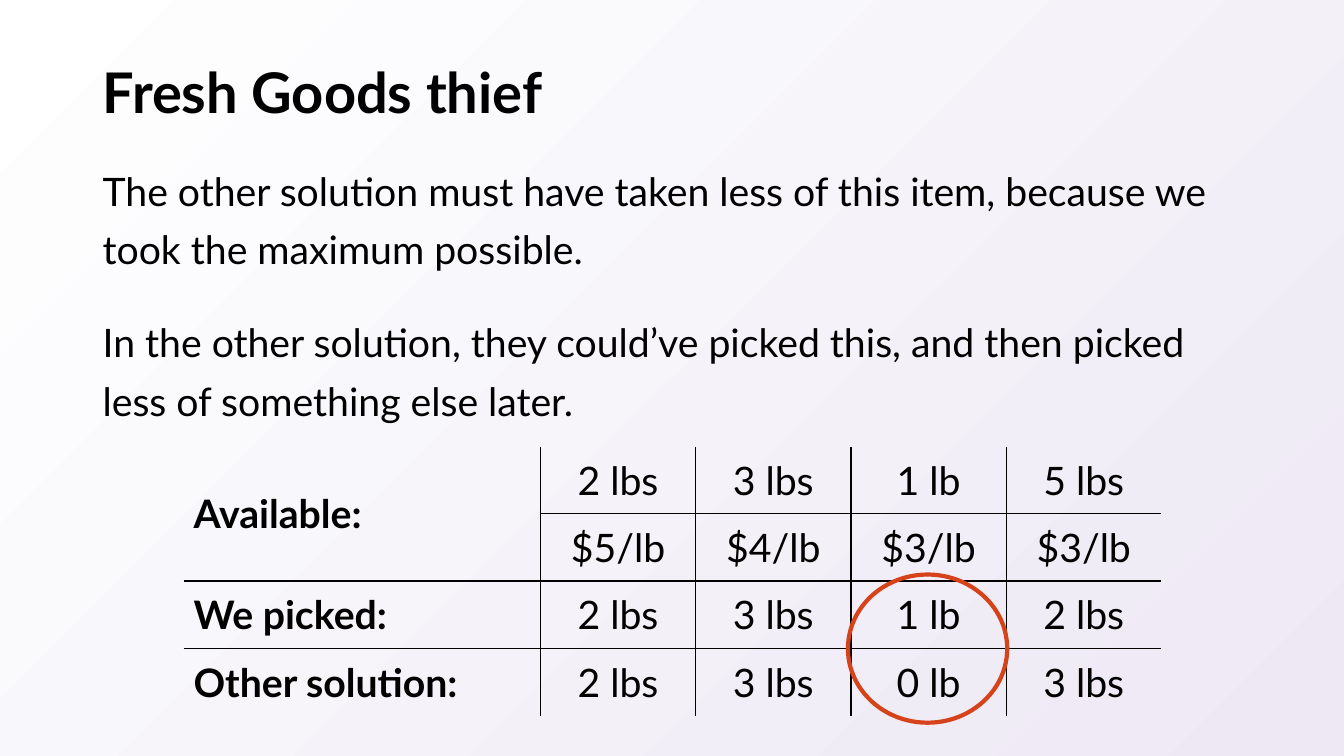
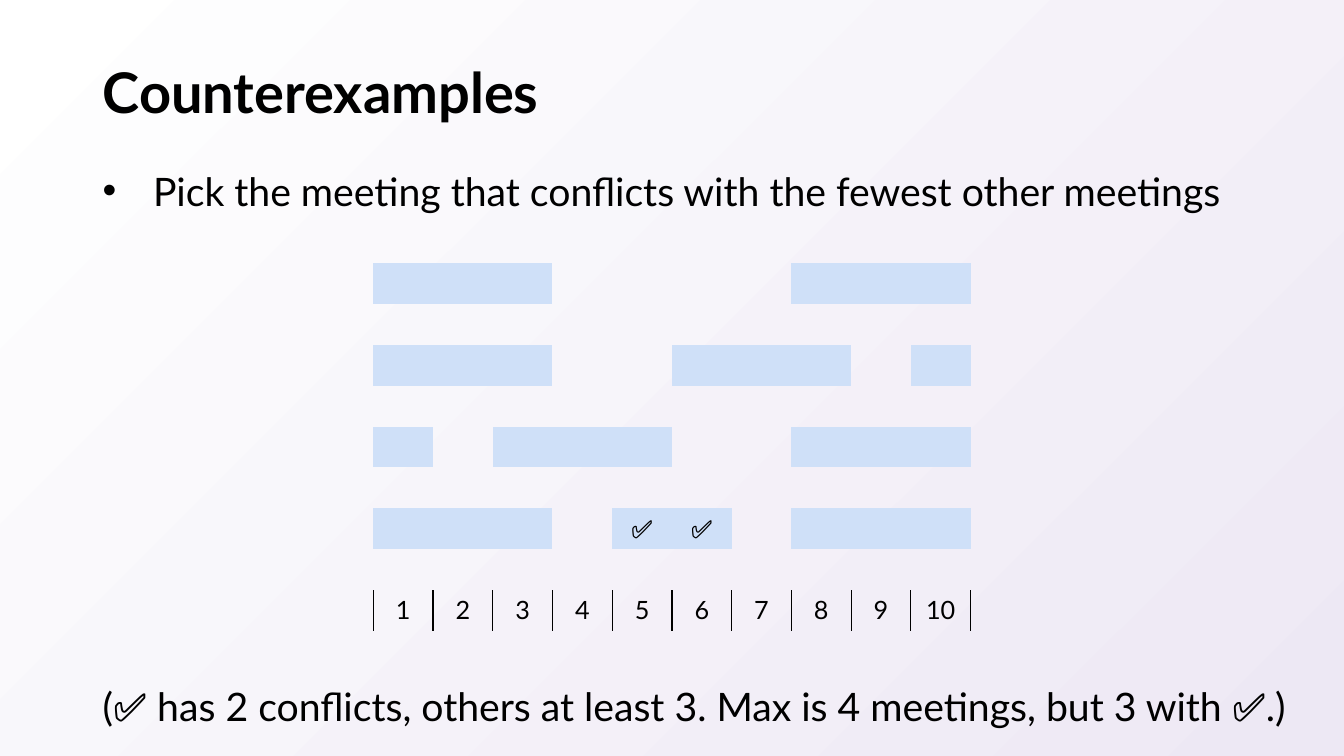
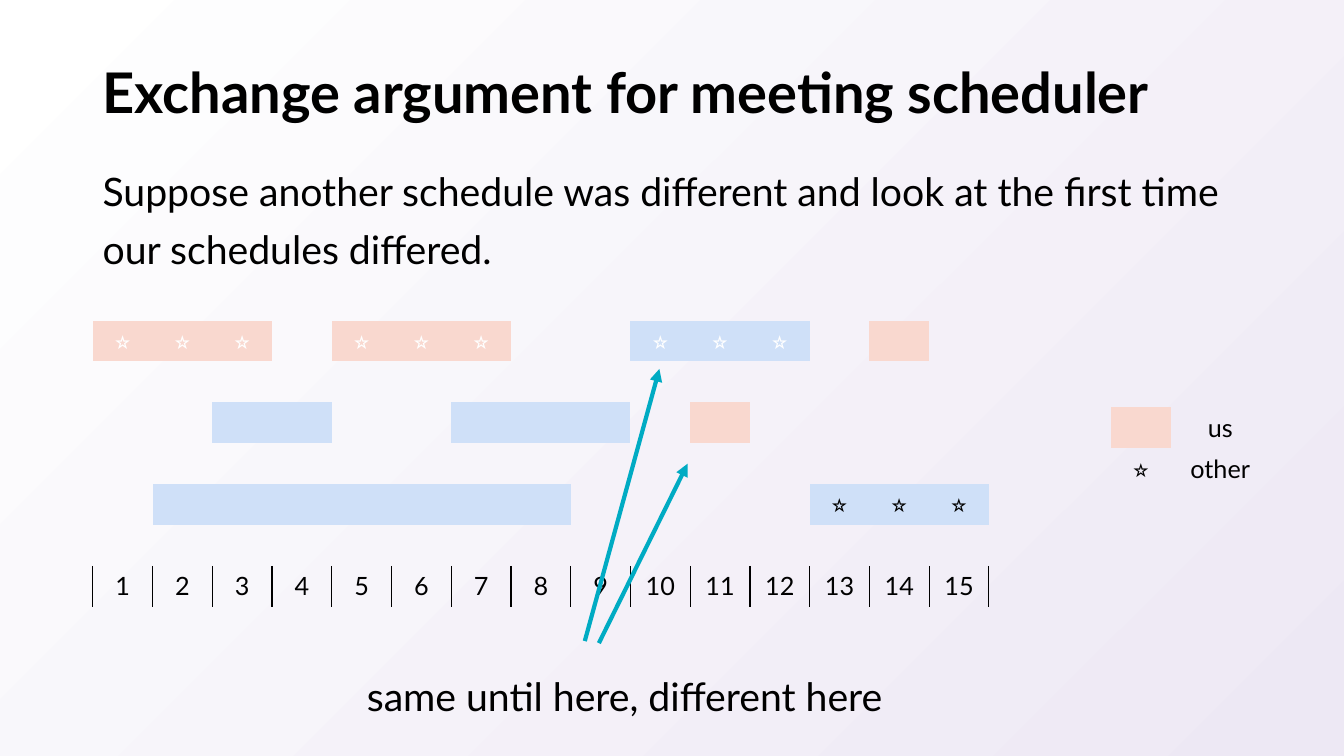
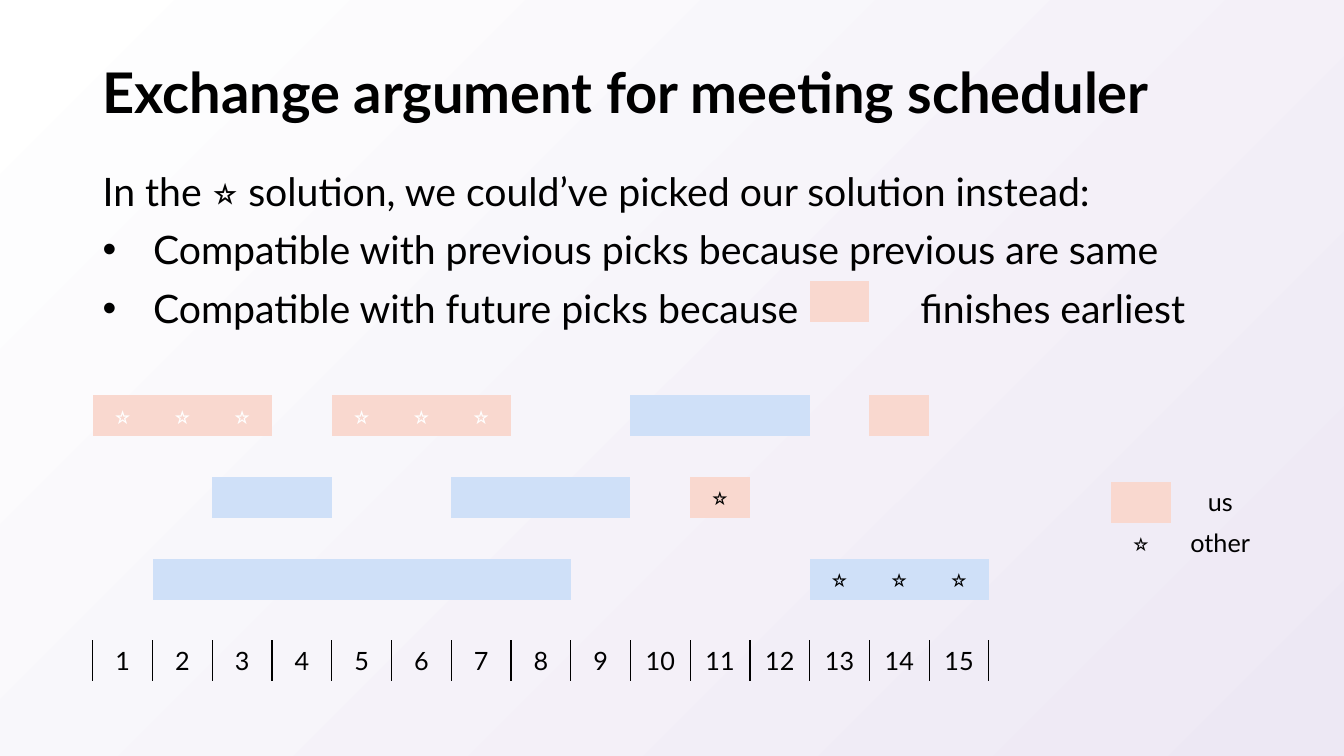
import pptx
import pptx.util
import pptx.dml.color
import pptx.enum.shapes
import pptx.enum.text
import pptx.oxml
import pptx.oxml.ns

Inches, Pt = pptx.util.Inches, pptx.util.Pt
RGB = pptx.dml.color.RGBColor.from_string
qn = pptx.oxml.ns.qn
ALIGN = pptx.enum.text.PP_ALIGN
ANCHOR = pptx.enum.text.MSO_ANCHOR

# Theme: colours, type styles and the shared grid
THEME = {
    "ink": "000000", "white": "FFFFFF", "lilac": "EDE8F4",
    "free": "CFE0F8", "us": "F9D8CF", "ring": "D6431A", "arrow": "00ABC3",
    "title": {"size": 40, "bold": True},
    "body": {"size": 28, "bold": False},
    "label": {"size": 28, "bold": True},
    "small": {"size": 18, "bold": False},
    "faint": {"size": 18, "bold": True, "color": "white"},
}
FONT = "Lato"
NO_STYLE = "{2D5ABB26-0587-4C30-8999-92F81FD0307C}"
WIDTH, HEIGHT = 13.33, 7.5
MARGIN = 0.92
TITLE_BOX = (MARGIN, 0.4, 11.5, 1.09)
BODY_BOX = (MARGIN, 1.49, 11.5, 5.26)
SLOT, ROW = 8.89 / 15, 2.84 / 7      # one hour, one schedule row
BULLET_INDENT = 0.5
PLAIN = {"line_spacing": 1.25, "space_before": Pt(24)}
BULLET = {"line_spacing": 1.25, "space_before": Pt(0), "bullet": True}

# Content: each schedule bar is (first hour, last hour, fill, mark, mark style)
STAR, TICK = "⭐", "✅"
EXCHANGE = "Exchange argument for meeting scheduler"
LOOT = [
    ["Available:", "2 lbs", "3 lbs", "1 lb", "5 lbs"],
    ["", "$5/lb", "$4/lb", "$3/lb", "$3/lb"],
    ["We picked:", "2 lbs", "3 lbs", "1 lb", "2 lbs"],
    ["Other solution:", "2 lbs", "3 lbs", "0 lb", "3 lbs"],
]
CONFLICTS = [
    [(1, 3, "free"), (8, 10, "free")],
    [(1, 3, "free"), (6, 8, "free"), (10, 10, "free")],
    [(1, 1, "free"), (3, 5, "free"), (8, 10, "free")],
    [(1, 3, "free"), (5, 6, "free", TICK, "small"), (8, 10, "free")],
]
SHARED_PICKS = [(1, 3, "us", STAR, "faint"), (5, 7, "us", STAR, "faint"), (14, 14, "us")]
MIDDLE = [(3, 4, "free"), (7, 9, "free")]
LAST = [(2, 8, "free"), (13, 15, "free", STAR, "small")]
DIFFERENT = [
    SHARED_PICKS + [(10, 12, "free", STAR, "faint")],
    MIDDLE + [(11, 11, "us")],
    LAST,
]
SWAPPED = [
    SHARED_PICKS + [(10, 12, "free")],
    MIDDLE + [(11, 11, "us", STAR, "small")],
    LAST,
]
LEGEND = [[{"fill": "us"}, {"text": "us"}], [{"text": STAR}, {"text": "other"}]]
ARROWS = [((5.8, 6.36), (6.54, 3.66)), ((5.94, 6.38), (6.82, 4.6))]
GAP = {"spc": "8000"}                # a wide space that leaves room for a swatch


def inches(*values):
    return [Inches(v) for v in values]


def add_run(p, text, style, **extra):
    r = p.add_run()
    r.text = text
    fmt = THEME[style]
    for name, value in {"name": FONT, "size": Pt(fmt["size"]), "bold": fmt["bold"]}.items():
        setattr(r.font, name, value)
    r.font.color.rgb = RGB(THEME[fmt.get("color", "ink")])
    for name, value in extra.items():
        r._r.get_or_add_rPr().set(name, value)


def add_bullet(p):
    pPr = p._p.get_or_add_pPr()
    indent = Inches(BULLET_INDENT)
    pPr.set("marL", str(indent))
    pPr.set("indent", str(-indent))
    for tag, name, value in (("a:buFont", "typeface", "Arial"), ("a:buChar", "char", "•")):
        el = pptx.oxml.parse_xml(f'<{tag} {pptx.oxml.ns.nsdecls("a")} {name}="{value}"/>')
        pPr.append(el)


def add_text(s, box, paragraphs, style="body", anchor=ANCHOR.TOP, wrap=True):
    """Each paragraph is (list of (text, run attributes), paragraph format)."""
    tf = s.shapes.add_textbox(*inches(*box)).text_frame
    tf.word_wrap, tf.vertical_anchor = wrap, anchor
    for i, (runs, fmt) in enumerate(paragraphs):
        p = tf.add_paragraph() if i else tf.paragraphs[0]
        for name, value in fmt.items():
            if name != "bullet":
                setattr(p, name, value)
        if fmt.get("bullet"):
            add_bullet(p)
        for text, extra in runs:
            add_run(p, text, style, **extra)


def set_borders(cell, sides):
    tcPr = cell._tc.get_or_add_tcPr()
    for i, side in enumerate(x for x in "LRTB" if x in sides):
        tcPr.insert(i, pptx.oxml.parse_xml(
            f'<a:ln{side} {pptx.oxml.ns.nsdecls("a")} w="{Pt(1)}"><a:solidFill>'
            f'<a:srgbClr val="{THEME["ink"]}"/></a:solidFill></a:ln{side}>'))


def add_table(s, left, top, widths, row_height, cells):
    """Each cell is a dict with any of text, style, align, fill, sides and inset."""
    gf = s.shapes.add_table(len(cells), len(widths), *inches(
        left, top, sum(widths), row_height * len(cells)))
    for style_id in gf.element.iter(qn("a:tableStyleId")):
        style_id.text = NO_STYLE
    table = gf.table
    table.first_row = table.horz_banding = False
    for column, width in zip(table.columns, widths):
        column.width = Inches(width)
    for r, line in enumerate(cells):
        table.rows[r].height = Inches(row_height)
        for c, item in enumerate(line):
            cell = table.cell(r, c)
            if item.get("fill"):
                cell.fill.solid()
                cell.fill.fore_color.rgb = RGB(THEME[item["fill"]])
            else:
                cell.fill.background()
            if item.get("text"):
                p = cell.text_frame.paragraphs[0]
                p.alignment = item.get("align", ALIGN.CENTER)
                add_run(p, item["text"], item.get("style", "small"))
            if "inset" in item:
                cell.vertical_anchor = ANCHOR.MIDDLE
                for edge in ("left", "right", "top", "bottom"):
                    setattr(cell, f"margin_{edge}", Inches(item["inset"]))
            set_borders(cell, item.get("sides", ""))
    return table


def add_schedule(s, left, top, hours, rows):
    """Bars on every second row, the hour scale on the last."""
    cells = [[{} for _ in range(hours)] for _ in range(2 * len(rows))]
    for i, bars in enumerate(rows):
        for first, last, fill, *mark in bars:
            for hour in range(first, last + 1):
                cells[2 * i][hour - 1] = {"fill": fill, **dict(zip(("text", "style"), mark))}
    cells.append([{"text": str(h + 1), "sides": "LR"} for h in range(hours)])
    add_table(s, left, top, [SLOT] * hours, ROW, cells)


def add_exchange(s, top, rows):
    add_schedule(s, MARGIN, top, 15, rows)
    add_table(s, 11.02, top + 0.86, [SLOT, 0.98], ROW, LEGEND)


def add_loot_table(s):
    last_r, last_c = len(LOOT) - 1, len(LOOT[0]) - 1
    cells = []
    for r, line in enumerate(LOOT):
        cells.append([])
        for c, text in enumerate(line):
            inner = {"L": c > 0, "R": c < last_c, "T": r > 0, "B": r < last_r}
            sides = "".join(k for k, shown in inner.items() if shown) if text else ""
            cells[-1].append({
                "text": text, "sides": sides, "inset": 0.1,
                "style": "body" if c else "label",
                "align": ALIGN.CENTER if c else ALIGN.LEFT})
    table = add_table(s, 1.82, 4.43, [3.54] + [1.54] * last_c, 2.67 / len(LOOT), cells)
    table.cell(0, 0).merge(table.cell(1, 0))


def add_ring(s, box):
    sp = s.shapes.add_shape(pptx.enum.shapes.MSO_SHAPE.OVAL, *inches(*box))
    sp.shadow.inherit = False
    sp.fill.background()
    sp.line.color.rgb = RGB(THEME["ring"])
    sp.line.width = Pt(3)


def add_arrow(s, start, end):
    cx = s.shapes.add_connector(
        pptx.enum.shapes.MSO_CONNECTOR.STRAIGHT, *inches(*start, *end))
    cx.line.color.rgb = RGB(THEME["arrow"])
    cx.line.width = Pt(3)
    ns = pptx.oxml.ns.nsdecls("a")
    cx.line._get_or_add_ln().append(pptx.oxml.parse_xml(f'<a:tailEnd {ns} type="triangle"/>'))
    cx._element.spPr.append(pptx.oxml.parse_xml(f"<a:effectLst {ns}/>"))


def new_slide(prs, title, body):
    s = prs.slides.add_slide(prs.slide_layouts[6])
    add_text(s, TITLE_BOX, [([(title, {})], {"line_spacing": 0.9})], "title", ANCHOR.MIDDLE)
    add_text(s, BODY_BOX, body)
    return s


def main():
    prs = pptx.Presentation()
    prs.slide_width, prs.slide_height = inches(WIDTH, HEIGHT)

    # Shared diagonal background
    fill = prs.slide_master.background.fill
    fill.gradient()
    fill.gradient_angle = 315
    for stop, name in zip(fill.gradient_stops, ("white", "lilac")):
        stop.color.rgb = RGB(THEME[name])

    # Thief: compare the two solutions
    s = new_slide(prs, "Fresh Goods thief", [
        ([("The other solution must have taken less of this item, because we took the "
           "maximum possible.", {})], PLAIN),
        ([("In the other solution, they could’ve picked this, and then picked less of "
           "something else later.", {})], PLAIN)])
    add_loot_table(s)
    add_ring(s, (8.41, 5.7, 1.58, 1.47))

    # Counterexample to fewest conflicts
    s = new_slide(prs, "Counterexamples", [
        ([("Pick the meeting that conflicts with the fewest other meetings", {})], BULLET)])
    add_schedule(s, (WIDTH - 10 * SLOT) / 2, 2.61, 10, CONFLICTS)
    add_text(s, (MARGIN, 6.72, 12.15, 0.57), [
        ([("(✅ has 2 conflicts, others at least 3. Max is 4 meetings, but 3 with ✅.)", {})], {})])

    # First difference between the schedules
    s = new_slide(prs, EXCHANGE, [
        ([("Suppose another schedule was different and look at the first time our "
           "schedules differed.", {})], PLAIN)])
    add_exchange(s, 3.18, DIFFERENT)
    add_text(s, (3.54, 6.5, 5.36, 0.63),
             [([("same until here, different here", {})], PLAIN)], wrap=False)
    for start, end in ARROWS:
        add_arrow(s, start, end)

    # Swap in our pick
    s = new_slide(prs, EXCHANGE, [
        ([("In the ⭐ solution, we could’ve picked our solution instead:", {})], PLAIN),
        ([("Compatible with previous picks because previous are same", {})], BULLET),
        ([("Compatible with future picks because", {}), (" ", GAP),
          ("finishes earliest", {})], BULLET)])
    add_exchange(s, 3.92, SWAPPED)
    add_table(s, 8.03, 2.79, [SLOT], ROW, [[{"fill": "us"}]])

    prs.save("out.pptx")


if __name__ == "__main__":
    main()
